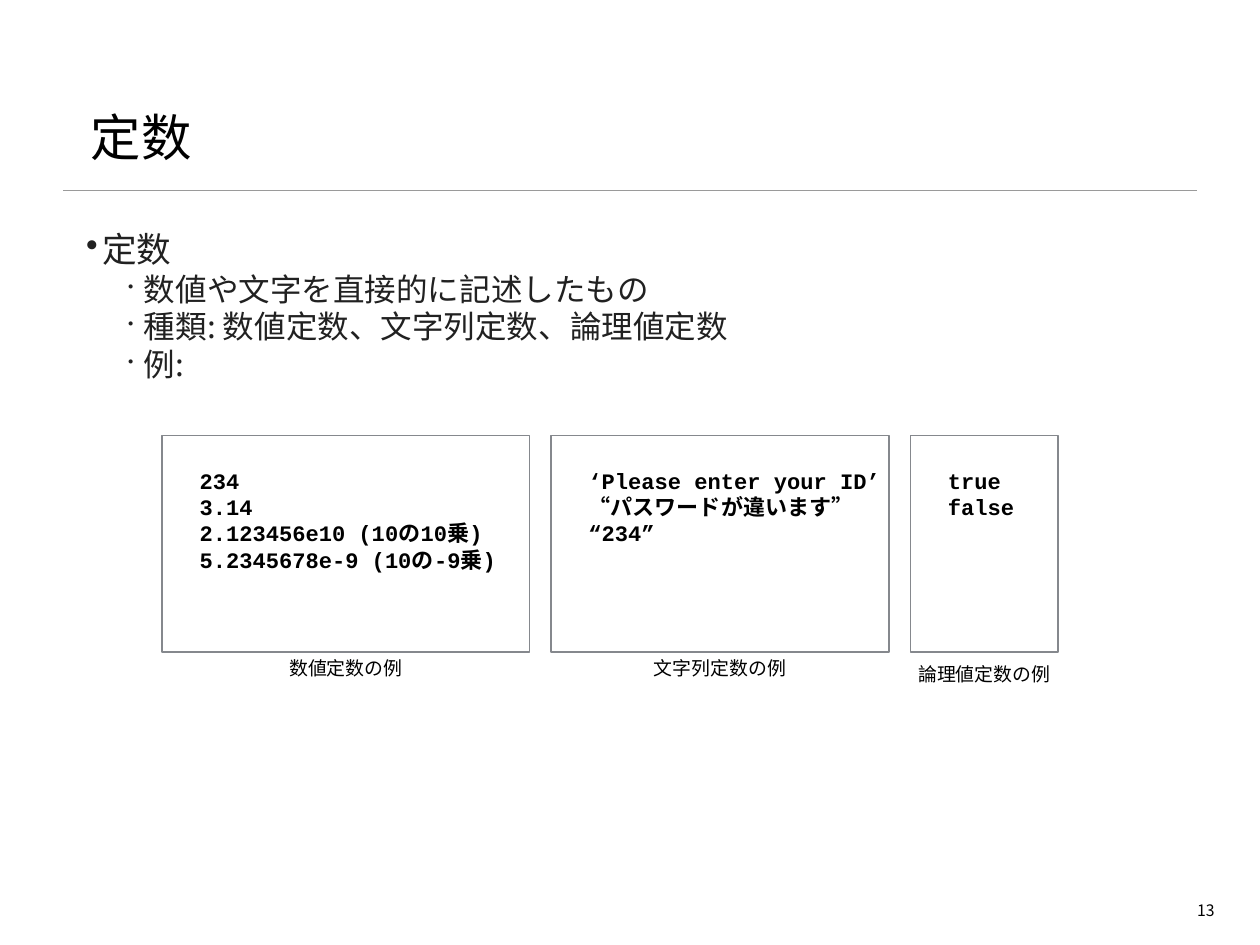
from dataclasses import dataclass

from lxml import etree
from pptx import Presentation
from pptx.dml.color import RGBColor
from pptx.enum.shapes import MSO_CONNECTOR, MSO_SHAPE
from pptx.enum.text import MSO_ANCHOR, PP_ALIGN
from pptx.oxml.ns import qn
from pptx.util import Inches, Pt

LEFT, CENTER, RIGHT = PP_ALIGN.LEFT, PP_ALIGN.CENTER, PP_ALIGN.RIGHT
TOP, MIDDLE, BOTTOM = MSO_ANCHOR.TOP, MSO_ANCHOR.MIDDLE, MSO_ANCHOR.BOTTOM
STRAIGHT, RECTANGLE = MSO_CONNECTOR.STRAIGHT, MSO_SHAPE.RECTANGLE
TITLE_ONLY = 5

SLIDE_WIDTH, SLIDE_HEIGHT = Inches(11.11), Inches(8.33)


@dataclass(frozen=True)
class Theme:
    body_font: str = "Noto Sans CJK JP"
    code_font: str = "Courier New"
    black: str = "000000"
    body_text: str = "212121"
    rule: str = "9A9A9A"
    box_line: str = "85888D"
    box_fill: str = "FFFFFF"
    title_size: int = 32
    topic_size: int = 22
    point_size: int = 20
    code_size: int = 14
    caption_size: int = 12
    page_size: int = 10


THEME = Theme()

TOPIC = "定数"
POINTS = [
    "数値や文字を直接的に記述したもの",
    "種類: 数値定数、文字列定数、論理値定数",
    "例:",
]

# Caption, box width, extra drop of the caption, lines of code
EXAMPLES = [
    ("数値定数の例", 29.16, 0,
     ["234", "3.14", "2.123456e10 (10の10乗)", "5.2345678e-9 (10の-9乗)"]),
    ("文字列定数の例", 26.82, 0,
     ["‘Please enter your ID’", "“パスワードが違います”", "“234”"]),
    ("論理値定数の例", 11.7, 0.6, ["true", "false"]),
]
EXAMPLES_LEFT, EXAMPLES_TOP = 12.87, 46.1
EXAMPLE_HEIGHT, EXAMPLE_GAP = 22.93, 1.71
CAPTION_HEIGHT = 3.36


def place(left, top, width, height):
    """Turn percentages of the slide's size into lengths."""
    return (int(SLIDE_WIDTH * left / 100), int(SLIDE_HEIGHT * top / 100),
            int(SLIDE_WIDTH * width / 100), int(SLIDE_HEIGHT * height / 100))


def set_frame(frame, anchor=TOP, insets=(0, 0, 0, 0), wrap=True):
    """Insets are left, top, right and bottom, in inches."""
    frame.word_wrap = wrap
    frame.vertical_anchor = anchor
    (frame.margin_left, frame.margin_top,
     frame.margin_right, frame.margin_bottom) = map(Inches, insets)


def style(paragraph, size, color=THEME.black, align=LEFT,
          font_name=THEME.body_font, bold=False, line_points=None):
    paragraph.alignment = align
    if line_points:
        paragraph.line_spacing = Pt(line_points)
    font = paragraph.font
    font.size, font.bold, font.name = Pt(size), bold, font_name
    font.color.rgb = RGBColor.from_string(color)
    east_asian = etree.SubElement(font._element, qn("a:ea"))
    east_asian.set("typeface", THEME.body_font)


def add_bullet(paragraph, margin, percent=100):
    properties = paragraph._p.get_or_add_pPr()
    properties.set("marL", str(Inches(margin)))
    properties.set("indent", str(Inches(-0.14)))
    size = etree.Element(qn("a:buSzPct"), val=str(percent * 1000))
    mark = etree.Element(qn("a:buChar"), char="•")
    defaults = properties.find(qn("a:defRPr"))
    defaults.addprevious(size)
    defaults.addprevious(mark)


def add_lines(frame, lines):
    """Write one paragraph per line and return the paragraphs."""
    paragraphs = [frame.paragraphs[0]]
    paragraphs += [frame.add_paragraph() for _ in lines[1:]]
    for paragraph, line in zip(paragraphs, lines):
        paragraph.text = line
    return paragraphs


def add_label(slide, text, area, size, align, **frame_options):
    frame = slide.shapes.add_textbox(*place(*area)).text_frame
    set_frame(frame, **frame_options)
    frame.text = text
    style(frame.paragraphs[0], size, align=align)


def add_title(slide):
    title = slide.shapes.title
    title.left, title.top, title.width, title.height = place(
        6.84, 3.36, 86.32, 14.29)
    set_frame(title.text_frame, BOTTOM, (0.04, 0.04, 0.04, 0))
    title.text_frame.text = TOPIC
    style(title.text_frame.paragraphs[0], THEME.title_size)


def add_rule(slide):
    left, top, width, _ = place(5.04, 20.17, 90, 0)
    rule = slide.shapes.add_connector(STRAIGHT, left, top, left + width, top)
    rule.line.color.rgb = RGBColor.from_string(THEME.rule)
    rule.line.width = Pt(1)
    etree.SubElement(rule._element.spPr, qn("a:effectLst"))


def add_points(slide):
    area = place(6.84, 23.89, 86.32, 67.35)
    frame = slide.shapes.add_textbox(*area).text_frame
    set_frame(frame)
    topic, *points = add_lines(frame, [TOPIC, *POINTS])
    style(topic, THEME.topic_size, THEME.body_text, line_points=28)
    add_bullet(topic, 0.14)
    for point in points:
        point.level = 1
        style(point, THEME.point_size, THEME.body_text, line_points=23.8)
        add_bullet(point, 0.51, 50)


def add_code_box(slide, area, lines):
    box = slide.shapes.add_shape(RECTANGLE, *place(*area))
    box.shadow.inherit = False
    box.fill.solid()
    box.fill.fore_color.rgb = RGBColor.from_string(THEME.box_fill)
    box.line.color.rgb = RGBColor.from_string(THEME.box_line)
    box.line.width = Pt(1)
    set_frame(box.text_frame, insets=(0.33, 0.28, 0, 0.04))
    for paragraph in add_lines(box.text_frame, lines):
        style(paragraph, THEME.code_size, font_name=THEME.code_font,
              bold=True, line_points=16.7)


def add_examples(slide):
    left = EXAMPLES_LEFT
    caption_top = EXAMPLES_TOP + EXAMPLE_HEIGHT
    for caption, width, drop, lines in EXAMPLES:
        add_code_box(slide, (left, EXAMPLES_TOP, width, EXAMPLE_HEIGHT), lines)
        add_label(slide, caption,
                  (left, caption_top + drop, width, CAPTION_HEIGHT),
                  THEME.caption_size, CENTER, anchor=MIDDLE)
        left += width + EXAMPLE_GAP


def main():
    presentation = Presentation()
    presentation.slide_width = SLIDE_WIDTH
    presentation.slide_height = SLIDE_HEIGHT
    slide = presentation.slides.add_slide(
        presentation.slide_layouts[TITLE_ONLY])
    add_rule(slide)
    add_title(slide)
    add_points(slide)
    add_label(slide, "13", (94.24, 94.84, 2.52, 2.64), THEME.page_size, RIGHT,
              insets=(0.04, 0.04, 0.04, 0.04), wrap=False)
    add_examples(slide)
    presentation.save("out.pptx")


if __name__ == "__main__":
    main()
